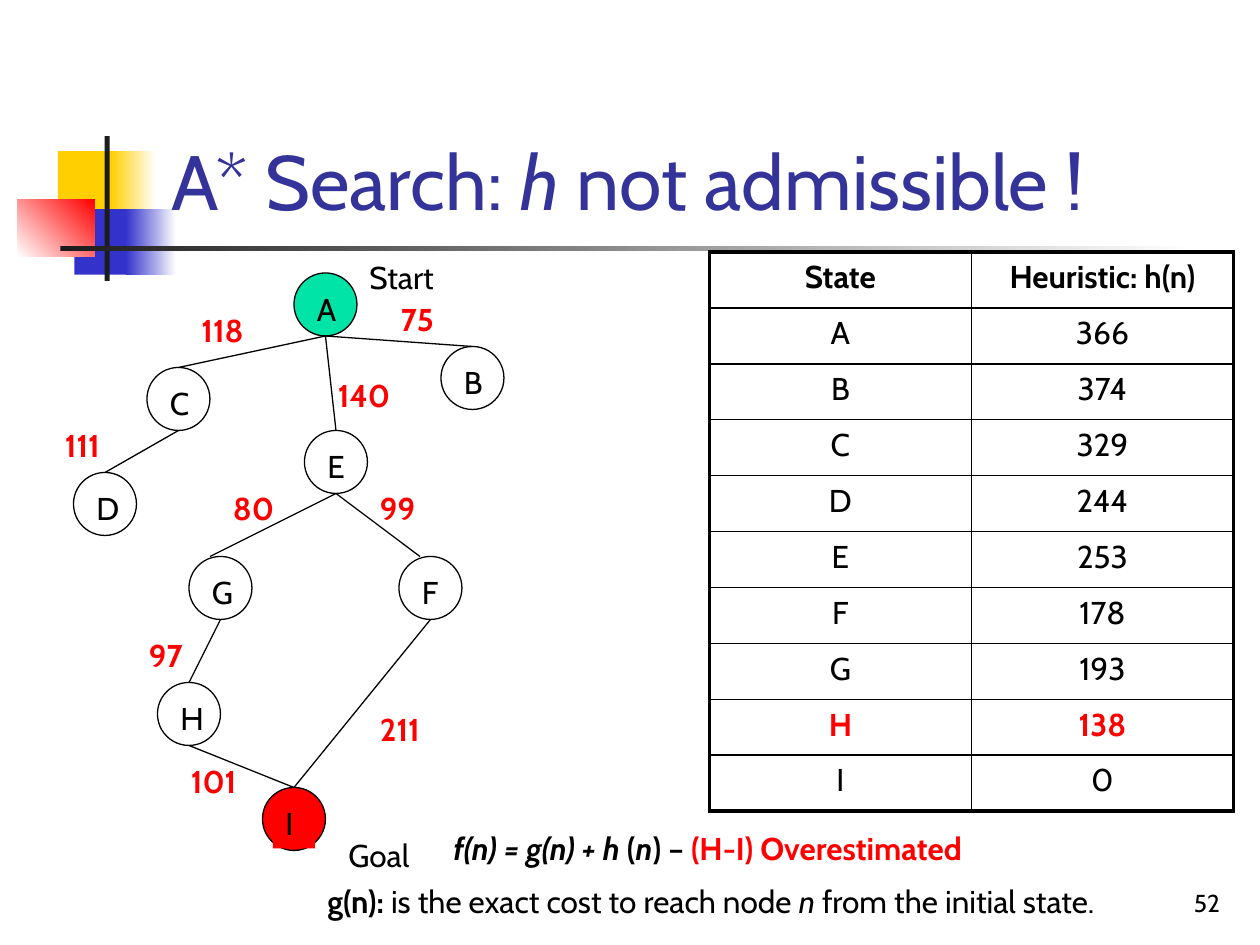
from lxml.etree import SubElement
from pptx import Presentation
from pptx.dml.color import RGBColor
from pptx.enum.shapes import MSO_CONNECTOR, MSO_SHAPE
from pptx.enum.text import MSO_ANCHOR, PP_ALIGN
from pptx.oxml.ns import qn
from pptx.util import Inches, Pt

FONT = "Cabin"
COLORS = {
    "black": "000000", "white": "FFFFFF", "red": "FF0000", "gold": "FFCF01",
    "blue": "3333CC", "title": "333399", "ink": "1C1C1C", "start": "00E4A8",
}
UNIT = Inches(1) // 12
NODE_SIZE = 6
NODES = {
    "A": (23, 2), "B": (37, 9), "C": (9, 11), "D": (2, 21), "E": (24, 17),
    "F": (33, 29), "G": (13, 29), "H": (10, 41), "I": (20, 51),
}
NODE_FILLS = {"A": "start", "I": "red"}
EDGES = [
    ("A", "B", 0, "75", 32, 4), ("A", "C", 0, "118", 13, 5),
    ("A", "E", 0, "140", 26, 11.2), ("C", "D", 0, "111", 0, 16),
    ("E", "F", -1, "99", 30, 22), ("E", "G", -1, "80", 16, 22),
    ("F", "I", 0, "211", 30, 43), ("G", "H", 0, "97", 8, 36),
    ("H", "I", 0, "101", 12, 48),
]
HEURISTICS = [
    ("State", "Heuristic: h(n)"), ("A", "366"), ("B", "374"), ("C", "329"),
    ("D", "244"), ("E", "253"), ("F", "178"), ("G", "193"), ("H", "138"),
    ("I", "0"),
]


def rgb(color):
    return RGBColor.from_string(COLORS[color])


def add_run(paragraph, text, size=18, color="black", bold=False, italic=False):
    run = paragraph.add_run()
    run.text = text
    run.font.name = FONT
    run.font.size = Pt(size)
    run.font.bold = bold
    run.font.italic = italic
    run.font.color.rgb = rgb(color)


def add_label(shapes, left, top, width, height, anchor=MSO_ANCHOR.TOP):
    label = shapes.add_textbox(left, top, width, height)
    label.text_frame.word_wrap = True
    label.text_frame.vertical_anchor = anchor
    return label


def add_block(slide, left, top, width, height, color, end=None, angle=0):
    block = slide.shapes.add_shape(MSO_SHAPE.RECTANGLE, left, top, width, height)
    block.shadow.inherit = False
    block.line.fill.background()
    if end is None:
        block.fill.solid()
        block.fill.fore_color.rgb = rgb(color)
        return
    block.fill.gradient()
    block.fill.gradient_angle = angle
    for stop, position, stop_color in zip(block.fill.gradient_stops, (0, 1), (color, end)):
        stop.position = position
        stop.color.rgb = rgb(stop_color)


def add_emblem(slide, left, top):
    for x, y, width, height, *paint in [
        (0.32, 0.12, 0.48, 0.52, "gold"),
        (0.74, 0.12, 0.36, 0.52, "gold", "white"),
        (0.45, 0.58, 0.46, 0.52, "blue"),
        (0.86, 0.58, 0.4, 0.52, "blue", "white"),
        (0, 0.5, 0.61, 0.46, "white", "red", 45),
        (0.69, 0, 0.04, 1.15, "ink"),
        (0.34, 0.87, 9, 0.04, "ink", "white"),
    ]:
        add_block(slide, left + Inches(x), top + Inches(y),
                  Inches(width), Inches(height), *paint)


def add_title(slide, left, top, width, height):
    title = add_label(slide.shapes, left, top, width, height, MSO_ANCHOR.BOTTOM)
    paragraph = title.text_frame.paragraphs[0]
    add_run(paragraph, "A* Search: ", 44, "title")
    add_run(paragraph, "h", 44, "title", italic=True)
    add_run(paragraph, " not admissible !", 44, "title")


def add_page_number(slide, left, top, width, height):
    number = add_label(slide.shapes, left, top, width, height, MSO_ANCHOR.BOTTOM)
    paragraph = number.text_frame.paragraphs[0]
    paragraph.alignment = PP_ALIGN.RIGHT
    add_run(paragraph, "52", 14)


def add_node(slide, left, top, name):
    node = slide.shapes.add_group_shape()
    size = NODE_SIZE * UNIT
    circle = node.shapes.add_shape(MSO_SHAPE.OVAL, left, top, size, size)
    circle.shadow.inherit = False
    circle.line.color.rgb = rgb("black")
    circle.line.width = Pt(0.75)
    letter = add_label(node.shapes, left + UNIT, top + UNIT, 4 * UNIT, Inches(0.4))
    add_run(letter.text_frame.paragraphs[0], name)
    if name in NODE_FILLS:
        circle.fill.solid()
        circle.fill.fore_color.rgb = rgb(NODE_FILLS[name])
    else:
        circle.fill.background()
    if name == "I":
        letter.fill.solid()
        letter.fill.fore_color.rgb = rgb("red")


def add_edge(slide, x1, y1, x2, y2):
    edge = slide.shapes.add_connector(MSO_CONNECTOR.STRAIGHT, x1, y1, x2, y2)
    edge.line.color.rgb = rgb("black")
    edge.line.width = Pt(0.75)
    SubElement(edge._element.spPr, qn("a:effectLst"))


def add_search_tree(slide, left, top):
    def place(x, y):
        return int(left + x * UNIT), int(top + y * UNIT)

    for name, position in NODES.items():
        add_node(slide, *place(*position), name)
    for parent, child, shift, cost, x, y in EDGES:
        (x1, y1), (x2, y2) = NODES[parent], NODES[child]
        middle = NODE_SIZE / 2
        add_edge(slide, *place(x1 + middle, y1 + NODE_SIZE),
                 *place(x2 + middle + shift, y2))
        label = add_label(slide.shapes, *place(x, y), 10 * UNIT, Inches(0.4))
        add_run(label.text_frame.paragraphs[0], cost, color="red", bold=True)
    for caption, x, y in [("Start", 29, 0), ("Goal", 27, 55)]:
        label = add_label(slide.shapes, *place(x, y), 16 * UNIT, Inches(0.4))
        add_run(label.text_frame.paragraphs[0], caption)


def add_formula(slide, left, top, width, height):
    frame = add_label(slide.shapes, left, top, width, height).text_frame
    formula = frame.paragraphs[0]
    tab_stops = SubElement(formula._p.get_or_add_pPr(), qn("a:tabLst"))
    SubElement(tab_stops, qn("a:tab"), pos=str(Inches(1)), algn="l")
    add_run(formula, "\tf(n) = g(n) + h ", bold=True, italic=True)
    add_run(formula, "(", bold=True)
    add_run(formula, "n", bold=True, italic=True)
    add_run(formula, ") – ", bold=True)
    add_run(formula, "(H-I) Overestimated", color="red", bold=True)
    meaning = frame.add_paragraph()
    meaning.space_before = Pt(9)
    add_run(meaning, "g(n): ", bold=True)
    add_run(meaning, "is the exact cost to reach node ")
    add_run(meaning, "n", italic=True)
    add_run(meaning, " from the initial state.")


def set_borders(cell, outer_sides):
    properties = cell._tc.get_or_add_tcPr()
    for index, side in enumerate(("lnL", "lnR", "lnT", "lnB")):
        border = properties.makeelement(
            qn(f"a:{side}"), {"w": str(Pt(2.25 if side in outer_sides else 1))})
        paint = SubElement(border, qn("a:solidFill"))
        SubElement(paint, qn("a:srgbClr"), val=COLORS["black"])
        properties.insert(index, border)


def add_heuristic_table(slide, left, top, width, height):
    last = len(HEURISTICS) - 1
    table = slide.shapes.add_table(last + 1, 2, left, top, width, height).table
    table.first_row = False
    table.horz_banding = False
    for r, row in enumerate(HEURISTICS):
        for c, value in enumerate(row):
            cell = table.cell(r, c)
            cell.fill.background()
            paragraph = cell.text_frame.paragraphs[0]
            paragraph.alignment = PP_ALIGN.CENTER
            overestimated = row[0] == "H"
            add_run(paragraph, value, color="red" if overestimated else "black",
                    bold=r == 0 or overestimated)
            outer_sides = {"lnR" if c else "lnL"}
            outer_sides |= {"lnT"} if r == 0 else {"lnB"} if r == last else set()
            set_borders(cell, outer_sides)


def main():
    presentation = Presentation()
    presentation.slide_width = Inches(10)
    presentation.slide_height = Inches(7.5)
    slide = presentation.slides.add_slide(presentation.slide_layouts[6])
    add_emblem(slide, Inches(0.14), Inches(1.08))
    add_page_number(slide, Inches(7.7), Inches(6.83), Inches(2.08), Inches(0.5))
    add_title(slide, Inches(1.26), Inches(0.96), Inches(8.52), Inches(0.88))
    add_search_tree(slide, 5 * UNIT, Inches(2))
    add_formula(slide, Inches(2.5), Inches(6.53), Inches(7.25), Inches(1.3))
    add_heuristic_table(slide, Inches(5.63), Inches(2), Inches(4.16), Inches(4.44))
    presentation.save("out.pptx")


if __name__ == "__main__":
    main()
